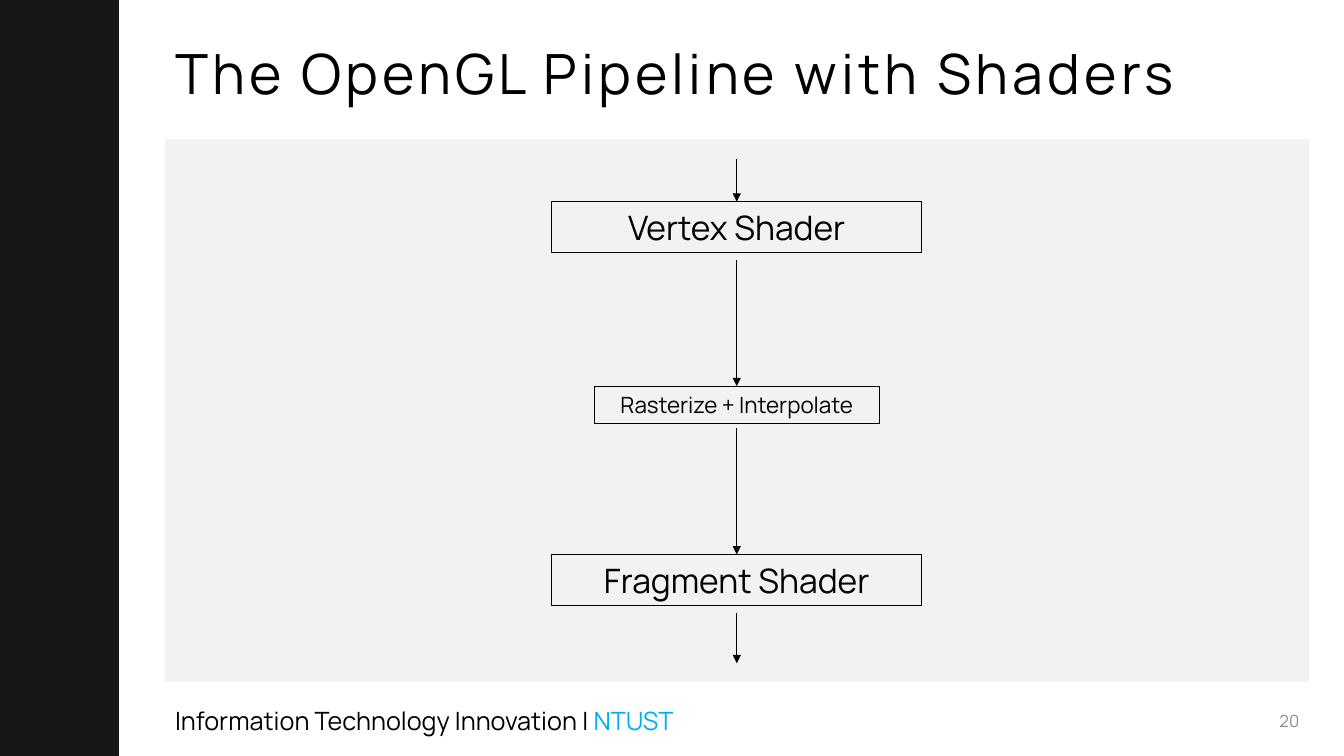
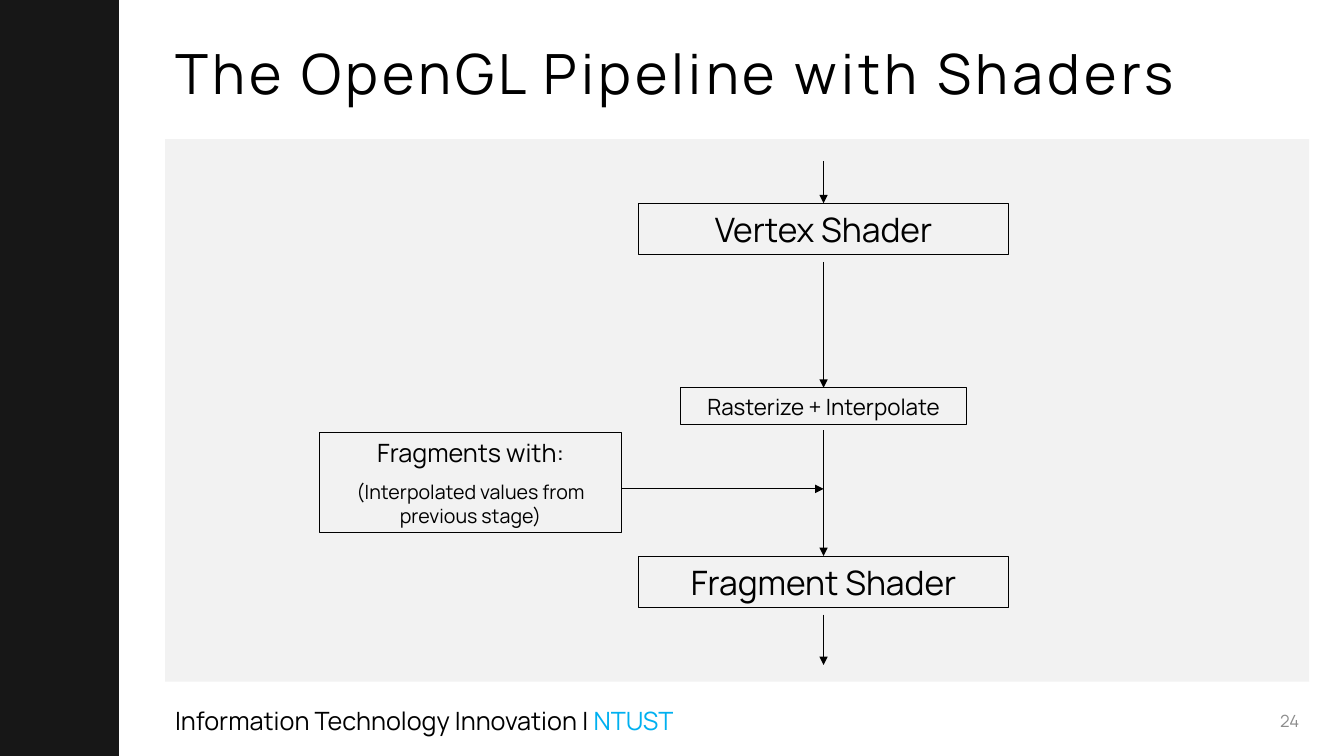
from dataclasses import dataclass

from lxml import etree
from pptx import Presentation
from pptx.dml.color import RGBColor
from pptx.enum.shapes import MSO_CONNECTOR, MSO_SHAPE
from pptx.enum.text import MSO_ANCHOR, MSO_AUTO_SIZE, PP_ALIGN
from pptx.oxml.ns import qn
from pptx.util import Pt

RECTANGLE = MSO_SHAPE.RECTANGLE
STRAIGHT = MSO_CONNECTOR.STRAIGHT
MIDDLE = MSO_ANCHOR.MIDDLE
NO_RESIZE = MSO_AUTO_SIZE.NONE
LEFT, CENTER, RIGHT = PP_ALIGN.LEFT, PP_ALIGN.CENTER, PP_ALIGN.RIGHT
TOP_SIDE = 0
TITLE_ONLY = 5


@dataclass(frozen=True)
class Theme:
    font: str = "Manrope"
    ink: RGBColor = RGBColor(0x00, 0x00, 0x00)
    band: RGBColor = RGBColor(0x17, 0x17, 0x17)
    panel: RGBColor = RGBColor(0xF2, 0xF2, 0xF2)
    accent: RGBColor = RGBColor(0x00, 0xB0, 0xF0)
    muted: RGBColor = RGBColor(0x8C, 0x8C, 0x8C)
    title_size: float = 39.6
    shader_size: int = 24
    footer_size: int = 18
    stage_size: int = 16
    detail_size: int = 14
    page_size: int = 12
    line_width: float = 0.75


theme = Theme()


def write(frame, paragraphs, **para_format):
    frame_format = {"word_wrap": True, "auto_size": NO_RESIZE, "vertical_anchor": MIDDLE}
    for name, value in frame_format.items():
        setattr(frame, name, value)
    for index, spans in enumerate(paragraphs):
        para = frame.add_paragraph() if index else frame.paragraphs[0]
        for name, value in para_format.items():
            setattr(para, name, value)
        if index:
            para.space_before = Pt(8.8)
        for text, size, colour in spans:
            span = para.add_run()
            span.text = text
            for name, value in {"name": theme.font, "size": Pt(size)}.items():
                setattr(span.font, name, value)
            span.font.color.rgb = colour


def add_box(page, left, top, width, height, fill=None):
    box = page.shapes.add_shape(RECTANGLE, Pt(left), Pt(top), Pt(width), Pt(height))
    box.shadow.inherit = False
    if fill is None:
        box.fill.background()
        box.line.color.rgb = theme.ink
        box.line.width = Pt(theme.line_width)
    else:
        box.fill.solid()
        box.fill.fore_color.rgb = fill
        box.line.fill.background()
    return box


slide_width, slide_height = 960, 540
content_left, content_width = 118, 817.2
footer_top, footer_height = 500.4, 28.8
page_width = 216
band_width = 85

stages = [
    ("Vertex Shader", theme.shader_size, 144, 264.2, 36.7, 113.8),
    ("Rasterize + Interpolate", theme.stage_size, 275.8, 203.8, 26.6, 185.8),
    ("Fragment Shader", theme.shader_size, 396, 264.2, 36.7, 306),
]
exit_top, exit_bottom = 437.8, 473.8
fragments = [
    [("Fragments with:", theme.footer_size, theme.ink)],
    [("(Interpolated values from previous stage)", theme.detail_size, theme.ink)],
]
pages = [
    {"number": 20, "axis": 526.3, "shift": 0, "has_fragments": False},
    {"number": 24, "axis": 588.3, "shift": 1.2, "has_fragments": True},
]

deck = Presentation()
deck.slide_width, deck.slide_height = Pt(slide_width), Pt(slide_height)

for content in pages:
    page = deck.slides.add_slide(deck.slide_layouts[TITLE_ONLY])
    axis, shift = content["axis"], content["shift"]

    add_box(page, content_left, 99.4, content_width, 387.4, theme.panel)
    add_box(page, 0, 0, band_width, slide_height, theme.band)

    title = page.shapes.title
    title_place = {"left": content_left, "top": 28.8, "width": content_width, "height": 51.8}
    for name, value in title_place.items():
        setattr(title, name, Pt(value))
    title_spans = [("The OpenGL Pipeline with Shaders", theme.title_size, theme.ink)]
    write(title.text_frame, [title_spans], alignment=LEFT, line_spacing=0.9)
    for properties in title.text_frame._txBody.iter(qn("a:rPr")):
        properties.set("spc", "300")

    footer_spans = [
        ("Information Technology Innovation | ", theme.footer_size, theme.ink),
        ("NTUST", theme.footer_size, theme.accent),
    ]
    number_spans = [(str(content["number"]), theme.page_size, theme.muted)]
    number_left = content_left + content_width - page_width
    for left, width, spans, alignment in [
        (content_left, 403.2, footer_spans, LEFT),
        (number_left, page_width, number_spans, RIGHT),
    ]:
        box = page.shapes.add_textbox(Pt(left), Pt(footer_top), Pt(width), Pt(footer_height))
        write(box.text_frame, [spans], alignment=alignment)

    arrows = [(axis, exit_top + shift, axis, exit_bottom + shift, None)]
    for label, size, top, width, height, arrow_top in stages:
        box = add_box(page, axis - width / 2, top + shift, width, height)
        write(box.text_frame, [[(label, size, theme.ink)]], alignment=CENTER)
        arrows.append((axis, arrow_top + shift, axis, top + shift, box))

    if content["has_fragments"]:
        left, width = 228.2, 216
        box = add_box(page, left, 308.9, width, 71.3)
        write(box.text_frame, fragments, alignment=CENTER)
        arrows.append((left + width, 349.2, axis, 349.2, None))

    for start_x, start_y, end_x, end_y, target in arrows:
        arrow = page.shapes.add_connector(
            STRAIGHT, Pt(start_x), Pt(start_y), Pt(end_x), Pt(end_y)
        )
        if target is not None:
            arrow.end_connect(target, TOP_SIDE)
        arrow.line.color.rgb = theme.ink
        arrow.line.width = Pt(theme.line_width)
        etree.SubElement(arrow.line._get_or_add_ln(), qn("a:tailEnd"), type="triangle")
        etree.SubElement(arrow._element.spPr, qn("a:effectLst"))

deck.save("out.pptx")
